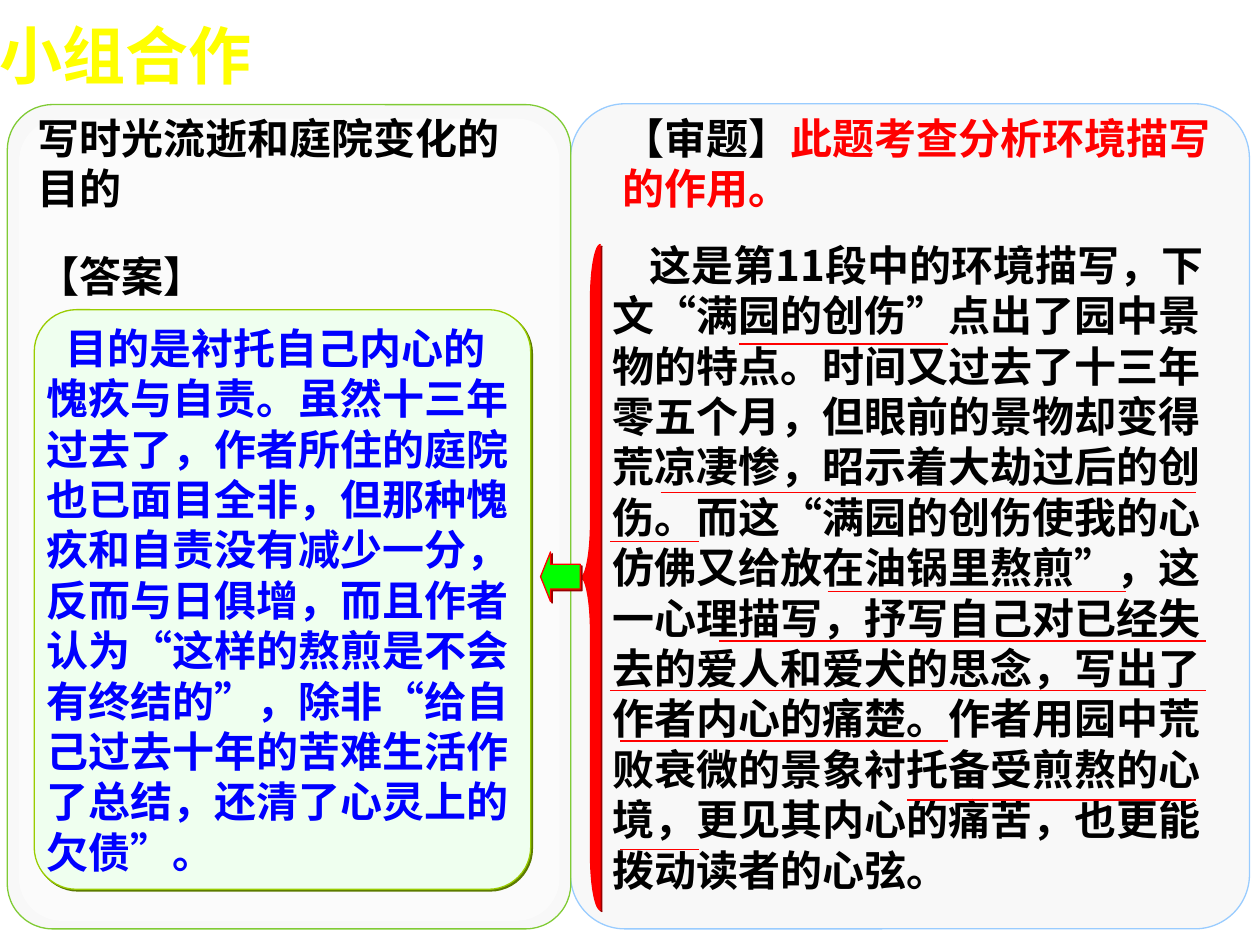
from lxml import etree
from pptx import Presentation
from pptx.dml.color import RGBColor
from pptx.enum.shapes import MSO_CONNECTOR, MSO_SHAPE
from pptx.enum.text import MSO_ANCHOR
from pptx.oxml.ns import qn
from pptx.util import Pt

ROUNDED = MSO_SHAPE.ROUNDED_RECTANGLE
BRACE = MSO_SHAPE.LEFT_BRACE
ARROW = MSO_SHAPE.LEFT_ARROW
STRAIGHT = MSO_CONNECTOR.STRAIGHT
TOP, MIDDLE = MSO_ANCHOR.TOP, MSO_ANCHOR.MIDDLE

COLORS = {
    "panel": "F8F8F8", "panel_inner": "FFFFFF", "answer": "EFFFEF",
    "sky": "99CCFF", "leaf": "80CB35", "lime": "99CC00",
    "red": "FF0000", "green": "00FF00", "yellow": "FFFF00",
    "blue": "0000FF", "black": "000000", "text_shadow": "808080",
    "olive_shadow": "5C7A00", "red_shadow": "990000",
}
BODY_FONT = "Noto Sans CJK SC"
BOX_INSETS = (7.2, 3.6)

TASK = "写时光流逝和庭院变化的目的"
ANSWER = (
    "目的是衬托自己内心的愧疚与自责。虽然十三年过去了，作者所住的庭院也已面目全非，"
    "但那种愧疚和自责没有减少一分，反而与日俱增，而且作者认为“这样的熬煎是不会有终结的”，"
    "除非“给自己过去十年的苦难生活作了总结，还清了心灵上的欠债”。"
)
ANALYSIS = (
    "这是第11段中的环境描写，下文“满园的创伤”点出了园中景物的特点。"
    "时间又过去了十三年零五个月，但眼前的景物却变得荒凉凄惨，昭示着大劫过后的创伤。"
    "而这“满园的创伤使我的心仿佛又给放在油锅里熬煎”，这一心理描写，"
    "抒写自己对已经失去的爱人和爱犬的思念，写出了作者内心的痛楚。"
    "作者用园中荒败衰微的景象衬托备受煎熬的心境，更见其内心的痛苦，也更能拨动读者的心弦。"
)
# left end, right end, height on the slide
UNDERLINES = [
    (422.5, 541.5, 196.5), (377.5, 683.5, 281.5), (348.5, 399.5, 309.5),
    (473, 643.5, 338), (411, 689, 366.5), (348.5, 689, 394.5),
    (354.5, 541.5, 423.5), (518.5, 683.5, 457), (354.5, 399.5, 485.5),
]


def rgb(name):
    return RGBColor.from_string(COLORS[name])


def add_shadow(effects, color, distance=1.4):
    """Put a hard shadow to the lower right into an a:effectLst."""
    shadow = etree.SubElement(effects, qn("a:outerShdw"), blurRad="0",
                              dist=str(int(Pt(distance))), dir="2700000", algn="tl")
    etree.SubElement(shadow, qn("a:srgbClr"), val=COLORS[color])


def add_form(slide, kind, box, fill, line=None, shadow=None, adjust=(), opacity=None):
    form = slide.shapes.add_shape(kind, *map(Pt, box))
    for index, value in enumerate(adjust):
        form.adjustments[index] = value
    form.fill.solid()
    form.fill.fore_color.rgb = rgb(fill)
    if opacity:
        color = form.fill._xPr.find(".//" + qn("a:srgbClr"))
        etree.SubElement(color, qn("a:alpha"), val=str(opacity * 1000))
    if line:
        form.line.color.rgb = rgb(line)
        form.line.width = Pt(0.75)
    else:
        form.line.fill.background()
    form.shadow.inherit = False
    if shadow:
        add_shadow(form._element.spPr.find(qn("a:effectLst")), shadow)
    return form


def write(holder, *pieces, size=24, font=BODY_FONT, insets=BOX_INSETS,
          anchor=TOP, wrap=True, indent=0, shadow=True):
    """Fill a shape with one bold paragraph made of (text, colour) pieces."""
    frame = holder.text_frame
    frame.word_wrap = wrap
    frame.vertical_anchor = anchor
    frame.margin_left = frame.margin_right = Pt(insets[0])
    frame.margin_top = frame.margin_bottom = Pt(insets[1])
    paragraph = frame.paragraphs[0]
    paragraph.alignment = 1
    if indent:
        paragraph._p.get_or_add_pPr().set("indent", str(int(Pt(indent))))
    for text, color in pieces:
        run = paragraph.add_run()
        run.text = text
        run.font.size = Pt(size)
        run.font.bold = True
        run.font.color.rgb = rgb(color)
        run.font.name = font
        if shadow:
            effects = etree.Element(qn("a:effectLst"))
            add_shadow(effects, "text_shadow")
            run.font._element.find(qn("a:solidFill")).addnext(effects)


def add_text(slide, box, *pieces, **style):
    write(slide.shapes.add_textbox(*map(Pt, box)), *pieces, **style)


def add_underline(slide, left, right, height):
    underline = slide.shapes.add_connector(
        STRAIGHT, Pt(left), Pt(height), Pt(right), Pt(height))
    underline.line.color.rgb = rgb("red")
    underline.line.width = Pt(1)
    etree.SubElement(underline._element.spPr, qn("a:effectLst"))


def main():
    deck = Presentation()
    deck.slide_width, deck.slide_height = Pt(720), Pt(540)
    slide = deck.slides.add_slide(deck.slide_layouts[6])

    add_form(slide, ROUNDED, (326, 59.3, 388, 471.5), "panel", "sky", adjust=[0.08])
    add_form(slide, ROUNDED, (4.2, 59.8, 322, 471), "panel", "leaf", adjust=[0.08])
    add_form(slide, ROUNDED, (10.8, 67.7, 309, 458.6), "panel_inner",
             adjust=[0.08], opacity=50)

    add_text(slide, (0, 9.4, 241, 43.2), ("小组合作", "yellow"),
             size=36, font="Arial", insets=(0, 0))
    add_text(slide, (14.4, 60.5, 283.7, 64.8), (TASK, "black"), anchor=MIDDLE)

    answer = add_form(slide, ROUNDED, (19.6, 177, 283.7, 331.2), "answer", "lime",
                      "olive_shadow", adjust=[0.085])
    write(answer, (ANSWER, "blue"), insets=(0, 0), anchor=MIDDLE,
          indent=10.75, shadow=False)

    add_text(slide, (342.7, 133.2, 357, 381.6), (ANALYSIS, "black"),
             anchor=MIDDLE, indent=21.5)
    add_text(slide, (348.5, 60.5, 351.4, 64.8),
             ("【审题】", "black"), ("此题考查分析环境描写的作用。", "red"))

    add_form(slide, BRACE, (331.7, 139.7, 11.5, 380.2), "red", "red",
             "red_shadow", adjust=[2.75, 0.5])
    add_form(slide, ARROW, (308.9, 315.4, 22.7, 28.3), "green", "red",
             "red_shadow", adjust=[0.5, 0.25])
    add_text(slide, (14.4, 139.7, 110.2, 36), ("【答案】", "black"), wrap=False)

    for left, right, height in UNDERLINES:
        add_underline(slide, left, right, height)

    deck.save("out.pptx")


if __name__ == "__main__":
    main()
